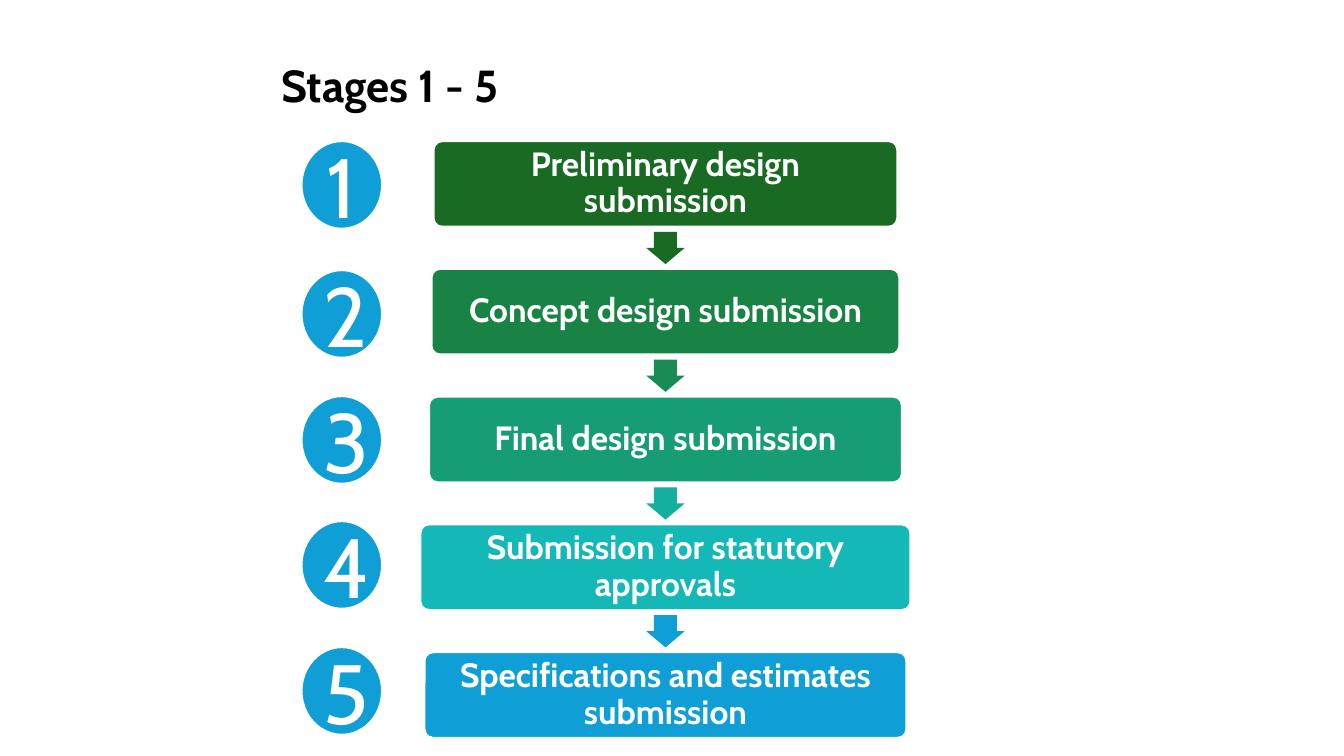
from pptx import Presentation
from pptx.dml.color import RGBColor
from pptx.enum.shapes import MSO_SHAPE as Shape
from pptx.enum.text import MSO_ANCHOR as Anchor, MSO_AUTO_SIZE as AutoSize, PP_ALIGN as Align
from pptx.util import Inches, Pt

BLACK = RGBColor(0x00, 0x00, 0x00)
WHITE = RGBColor(0xFF, 0xFF, 0xFF)
FOREST = RGBColor(0x19, 0x6B, 0x24)
GREEN = RGBColor(0x19, 0x83, 0x45)
GREEN_ARROW = RGBColor(0x18, 0x8C, 0x54)
JADE = RGBColor(0x17, 0x9D, 0x76)
JADE_ARROW = RGBColor(0x15, 0xAF, 0x9F)
TURQUOISE = RGBColor(0x14, 0xB8, 0xB7)
BLUE = RGBColor(0x0F, 0x9E, 0xD5)

# Stage name, box width, box colour, circle top, colour of the arrow below
STAGES = [
    ("Preliminary design submission", 4.6, FOREST, 1.4, FOREST),
    ("Concept design submission", 4.64, GREEN, 2.68, GREEN_ARROW),
    ("Final design submission", 4.69, JADE, 3.93, JADE_ARROW),
    ("Submission for statutory approvals", 4.86, TURQUOISE, 5.17, BLUE),
    ("Specifications and estimates submission", 4.78, BLUE, 6.42, None),
]
FIRST_TOP, LAST_TOP = 1.4, 6.47
PITCH = (LAST_TOP - FIRST_TOP) / (len(STAGES) - 1)
BOX_HEIGHT, BOX_CENTER = 0.85, 6.6
ARROW_LENGTH, ARROW_BREADTH, ARROW_DROP = 0.32, 0.38, 0.87


class StageSlide:
    """Holds the font and the current slide, and draws its elements."""

    def __init__(self, page, font="Cabin"):
        self.page = page
        self.font = font

    def add_text(self, para, text, size, color, bold=False):
        span = para.add_run()
        span.text = text
        span.font.name = self.font
        span.font.size = Pt(size)
        span.font.bold = bold
        span.font.color.rgb = color

    def title(self, text, left, top, width, height):
        box = self.page.shapes.title
        box.left, box.top = Inches(left), Inches(top)
        box.width, box.height = Inches(width), Inches(height)
        frame = box.text_frame
        frame.auto_size = AutoSize.NONE
        frame.vertical_anchor = Anchor.TOP
        para = frame.paragraphs[0]
        para.alignment = Align.LEFT
        self.add_text(para, text, 32, BLACK, bold=True)

    def shape(self, kind, left, top, width, height, fill, outlined=True):
        shape = self.page.shapes.add_shape(
            kind, Inches(left), Inches(top), Inches(width), Inches(height))
        shape.shadow.inherit = False
        shape.fill.solid()
        shape.fill.fore_color.rgb = fill
        if outlined:
            shape.line.color.rgb = WHITE
            shape.line.width = Pt(1.5)
        else:
            shape.line.fill.background()
        return shape

    def label(self, shape, text, size, bold=False):
        frame = shape.text_frame
        frame.word_wrap = True
        frame.vertical_anchor = Anchor.MIDDLE
        para = frame.paragraphs[0]
        para.alignment = Align.CENTER
        self.add_text(para, text, size, WHITE, bold)
        return para

    def stage_box(self, text, top, width, fill):
        box = self.shape(Shape.ROUNDED_RECTANGLE, BOX_CENTER - width / 2, top,
                         width, BOX_HEIGHT, fill)
        box.adjustments[0] = 0.1
        frame = box.text_frame
        frame.margin_top = frame.margin_bottom = Inches(0.1)
        self.label(box, text, 24, bold=True).line_spacing = 0.9

    def arrow(self, top, fill):
        arrow = self.shape(Shape.RIGHT_ARROW, BOX_CENTER - ARROW_LENGTH / 2, top,
                           ARROW_LENGTH, ARROW_BREADTH, fill, outlined=False)
        arrow.rotation = 90
        arrow.adjustments[0] = 0.6

    def number(self, value, top):
        circle = self.shape(Shape.OVAL, 2.99, top, 0.8, 0.87, BLUE)
        self.label(circle, str(value), 60)


def main():
    deck = Presentation()
    deck.slide_width, deck.slide_height = Inches(13.33), Inches(7.5)
    slide = StageSlide(deck.slides.add_slide(deck.slide_layouts[5]))

    slide.title("Stages 1 - 5", 2.69, 0.52, 5.62, 0.64)

    # One numbered row per stage, each with an arrow to the next
    for index, (name, width, color, circle_top, arrow_color) in enumerate(STAGES):
        top = FIRST_TOP + index * PITCH
        slide.stage_box(name, top, width, color)
        slide.number(index + 1, circle_top)
        if arrow_color is not None:
            slide.arrow(top + ARROW_DROP, arrow_color)

    deck.save("out.pptx")


if __name__ == "__main__":
    main()
